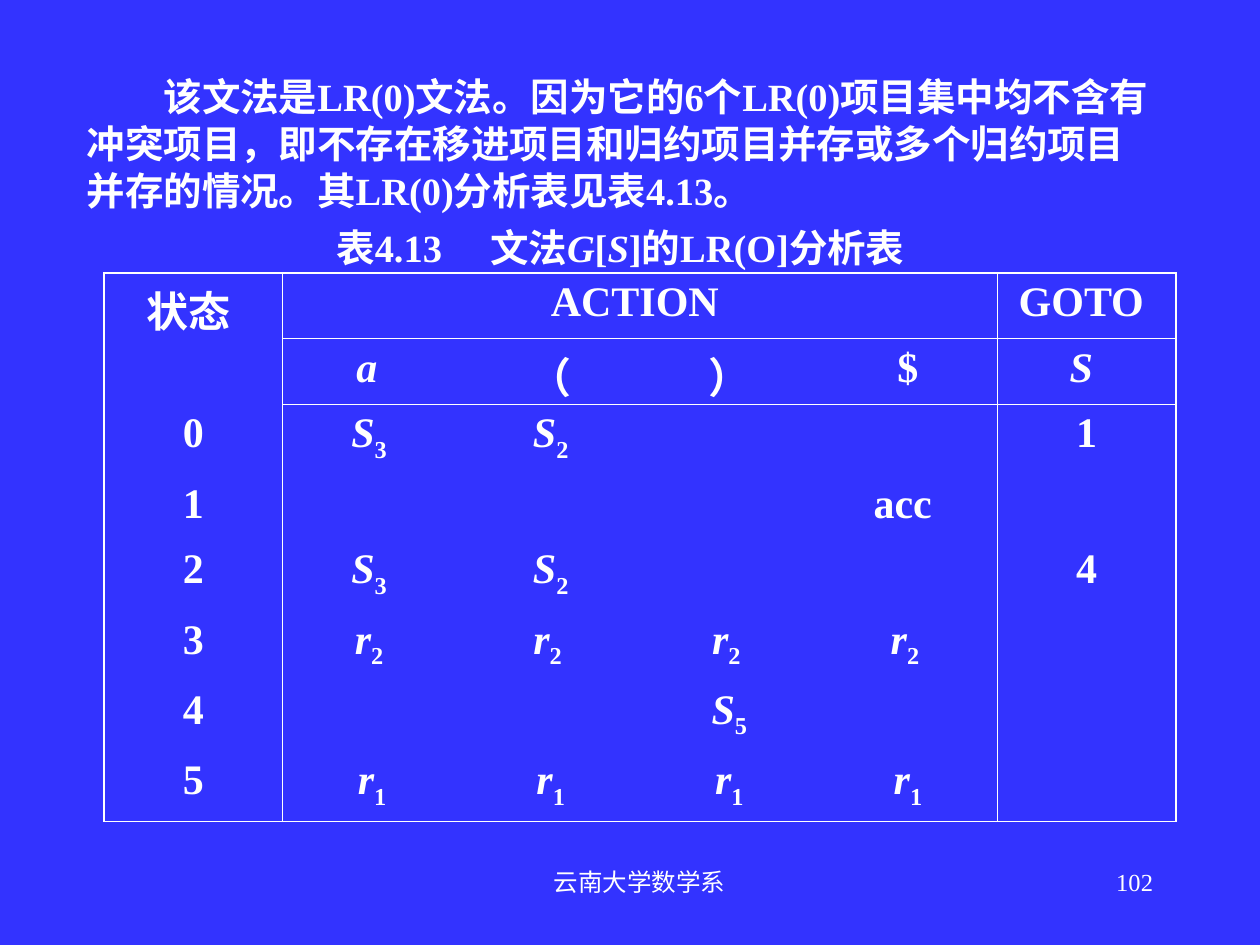
import pptx
import pptx.util
import pptx.dml.color
import pptx.enum.text
import lxml.etree

Pt = pptx.util.Pt
ALIGN = pptx.enum.text.PP_ALIGN
FONT = "Times New Roman"
WHITE = "FFFFFF"
BLUE = "3333FF"
NS = "http://schemas.openxmlformats.org/drawingml/2006/main"
THICK, THIN = 1.08, 0.45


def tint(code):
    return pptx.dml.color.RGBColor.from_string(code)


def add_run(para, text, size, bold=True, slant=False, sub=False):
    run = para.add_run()
    run.text = text
    font = run.font
    font.name, font.size = FONT, Pt(size)
    font.bold, font.italic = bold, slant
    font.color.rgb = tint(WHITE)
    if sub:
        run._r.get_or_add_rPr().set("baseline", "-25000")
    return run


def add_box(slide, box):
    frame = slide.shapes.add_textbox(*map(Pt, box)).text_frame
    frame.word_wrap = True
    return frame


# Opening paragraph and table caption
def add_intro(slide, box):
    frame = add_box(slide, box)
    body = frame.paragraphs[0]
    body.line_spacing = Pt(27)
    body._p.get_or_add_pPr().set("indent", str(Pt(44)))
    add_run(body, "该文法是LR(0)文法。因为它的6个LR(0)项目集中均不含有冲突项目，"
                  "即不存在移进项目和归约项目并存或多个归约项目并存的情况。"
                  "其LR(0)分析表见表4.13。", 22)

    title = frame.add_paragraph()
    title.alignment = ALIGN.CENTER
    title.line_spacing = Pt(27)
    title.space_before = Pt(5.5)
    add_run(title, "表4.13", 22)
    gap = add_run(title, " ", 22)
    gap._r.get_or_add_rPr().set("spc", "2200")
    for text, slant in (("文法", False), ("G", True), ("[", False),
                        ("S", True), ("]的LR(O]分析表 ", False)):
        add_run(title, text, 22, slant=slant)


# Cell borders: a width of None hides the line
def set_edges(cell, edges):
    props = cell._tc.get_or_add_tcPr()
    for spot, (side, width) in enumerate(edges.items()):
        line = lxml.etree.Element(f"{{{NS}}}ln{side}")
        if width:
            line.set("w", str(Pt(width)))
            fill = lxml.etree.SubElement(line, f"{{{NS}}}solidFill")
            lxml.etree.SubElement(fill, f"{{{NS}}}srgbClr", val=WHITE)
        else:
            lxml.etree.SubElement(line, f"{{{NS}}}noFill")
        props.insert(spot, line)


def fill_cell(cell, parts):
    para = cell.text_frame.paragraphs[0]
    para.alignment = ALIGN.CENTER
    for text, style in parts:
        add_run(para, text, 24, slant=style == "i", sub=style == "sub")


def plain(text):
    return [(text, "")]


def move(name, index):
    return [(name, "i"), (index, "sub")]


# LR(0) parsing table
def add_grid(slide, box):
    shift, push = move("S", "3 "), move("S", "2")
    rows = [
        [plain("状态 "), plain("ACTION "), [], [], [], plain("GOTO ")],
        [[], [("a ", "i")], plain("（"), plain("）"), plain("$"), [("S ", "i")]],
        [plain("0"), shift, push, [], [], plain("1")],
        [plain("1"), [], [], [], plain("acc "), []],
        [plain("2"), shift, push, [], [], plain("4")],
        [plain("3")] + [move("r", "2 ")] * 4 + [[]],
        [plain("4"), [], [], move("S", "5"), [], []],
        [plain("5")] + [move("r", "1")] * 4 + [[]],
    ]
    high, wide = len(rows), len(rows[0])
    table = slide.shapes.add_table(high, wide, *map(Pt, box)).table
    table.first_row = table.horz_banding = False
    for col in table.columns:
        col.width = Pt(box[2] / wide)
    for r, row in enumerate(table.rows):
        row.height = Pt(37.5 if r in (0, 1, 3) else 40.2)

    uprights = {0: THICK, 1: THIN, 5: THIN, wide: THICK}
    levels = {0: THICK, 2: THIN, high: THICK}
    for r, row in enumerate(rows):
        for c, parts in enumerate(row):
            cell = table.cell(r, c)
            cell.fill.background()
            fill_cell(cell, parts)
            rules = {**levels, 1: THIN} if c else levels
            set_edges(cell, {"L": uprights.get(c), "R": uprights.get(c + 1),
                             "T": rules.get(r), "B": rules.get(r + 1)})
    table.cell(0, 0).merge(table.cell(1, 0))
    table.cell(0, 1).merge(table.cell(0, 4))


# Footer line
def add_foot(slide, box, text, align):
    para = add_box(slide, box).paragraphs[0]
    para.alignment = align
    add_run(para, text, 14, bold=False)


def main():
    deck = pptx.Presentation()
    deck.slide_width, deck.slide_height = Pt(720), Pt(540)
    slide = deck.slides.add_slide(deck.slide_layouts[6])
    back = slide.background.fill
    back.solid()
    back.fore_color.rgb = tint(BLUE)
    add_foot(slide, (246, 492, 239, 36), "云南大学数学系", ALIGN.CENTER)
    add_foot(slide, (516, 492, 150, 36), "102", ALIGN.RIGHT)
    add_intro(slide, (42.5, 37.5, 629, 130))
    add_grid(slide, (59.5, 156, 612.6, 313.5))
    deck.save("out.pptx")


if __name__ == "__main__":
    main()
